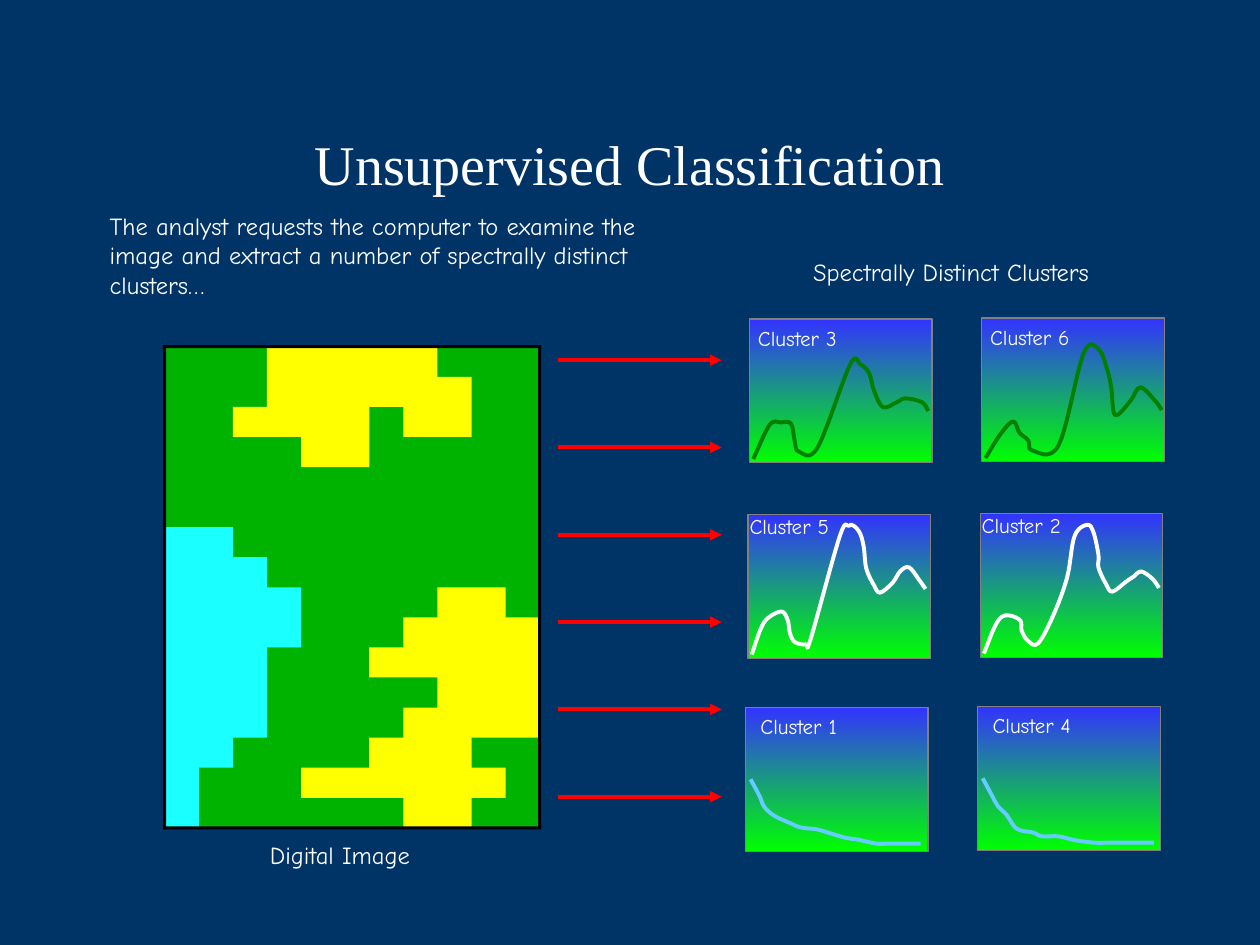
from dataclasses import dataclass

from lxml import etree
from pptx import Presentation
from pptx.dml.color import RGBColor
from pptx.enum.shapes import MSO_CONNECTOR as CONN, MSO_SHAPE as SHAPE
from pptx.enum.text import MSO_ANCHOR as ANCHOR, PP_ALIGN as ALIGN
from pptx.oxml.ns import qn
from pptx.util import Cm, Pt


@dataclass(frozen=True)
class Theme:
    back: str = "003366"
    text: str = "FFFFFF"
    frame: str = "000000"
    forest: str = "00B300"
    water: str = "1AFFFF"
    crop: str = "FFFF00"
    arrow: str = "FF0000"
    panel_top: str = "3333FF"
    panel_bottom: str = "00FF00"
    panel_edge: str = "808080"
    green_curve: str = "008000"
    white_curve: str = "FFFFFF"
    blue_curve: str = "66CCFF"
    title_font: str = "Times New Roman"
    body_font: str = "Comic Neue"
    title_size: int = 32
    body_size: int = 14
    label_size: int = 12
    stroke: float = 2.25
    thin: float = 0.75


THEME = Theme()

# Land cover regions as corners (column, row) on the pixel grid
COLS, ROWS = 11, 16
WATER = [(0, 6), (2, 6), (2, 7), (3, 7), (3, 8), (4, 8), (4, 10), (3, 10),
         (3, 13), (2, 13), (2, 14), (1, 14), (1, 16), (0, 16)]
NORTH_CROP = [(3, 0), (3, 2), (2, 2), (2, 3), (4, 3), (4, 4), (6, 4), (6, 2),
              (7, 2), (7, 3), (9, 3), (9, 1), (8, 1), (8, 0)]
SOUTH_CROP = [(11, 9), (10, 9), (10, 8), (8, 8), (8, 9), (7, 9), (7, 10),
              (6, 10), (6, 11), (8, 11), (8, 12), (7, 12), (7, 13), (6, 13),
              (6, 14), (4, 14), (4, 15), (7, 15), (7, 16), (9, 16), (9, 15),
              (10, 15), (10, 14), (9, 14), (9, 13), (11, 13)]

# Spectral curves as points on a grid of 145 by 114 steps per panel
PANEL_W, PANEL_H = 3.68, 2.9
STEPS_X, STEPS_Y = 145, 114
COLUMN_STEP = (4.68, -0.02)
CURVES = {
    3: [(3, 111), (16, 84), (25, 82), (33, 83), (36, 97), (39, 105),
        (54, 102), (80, 36), (88, 36), (95, 43), (99, 57), (106, 70),
        (117, 66), (124, 63), (137, 66), (142, 73)],
    6: [(3, 111), (15, 92), (25, 82), (30, 91), (37, 97), (40, 105),
        (61, 101), (81, 28), (93, 25), (100, 42), (103, 56), (106, 77),
        (118, 66), (126, 55), (138, 66), (143, 73)],
    5: [(3, 111), (10, 91), (16, 82), (27, 77), (32, 85), (33, 93),
        (37, 101), (46, 103), (50, 98), (73, 17), (80, 9), (84, 9),
        (89, 15), (92, 26), (94, 43), (100, 56), (105, 62), (115, 54),
        (121, 45), (128, 42), (136, 52), (141, 59)],
    2: [(3, 111), (11, 91), (17, 82), (24, 81), (32, 85), (33, 93),
        (38, 101), (46, 103), (58, 81), (69, 51), (75, 18), (85, 9),
        (90, 15), (94, 33), (94, 43), (100, 56), (105, 62), (116, 54),
        (122, 50), (128, 46), (137, 52), (142, 59)],
    1: [(4, 57), (11, 70), (15, 79), (23, 86), (36, 92), (43, 95), (50, 96),
        (58, 97), (78, 103), (90, 105), (104, 108), (113, 108), (124, 108),
        (131, 108), (139, 108)],
    4: [(4, 57), (11, 70), (16, 79), (23, 86), (31, 97), (44, 100),
        (51, 103), (64, 103), (77, 106), (92, 108), (104, 108), (114, 108),
        (124, 108), (131, 108), (140, 108)],
}
# Panel rows: left, top, label offset (x, y), label width, colour, clusters
PANEL_ROWS = [
    (15.11, 6.43, (-0.08, 0), 2.82, THEME.green_curve, (3, 6)),
    (15.08, 10.37, (-0.22, -0.15), 3.12, THEME.white_curve, (5, 2)),
    (15.03, 14.26, (0.05, 0), 2.82, THEME.blue_curve, (1, 4)),
]


def rgb(value):
    return RGBColor.from_string(value)


def bend(sp):
    """Turn the straight segments of a freeform into a Catmull-Rom spline."""
    segments = list(sp._element.iter(qn("a:lnTo")))
    pts = [(int(pt.get("x")), int(pt.get("y"))) for pt in sp._element.iter(qn("a:pt"))]
    (ax, ay), (bx, by), (yx, yy), (zx, zy) = *pts[:2], *pts[-2:]
    pts = [(2 * ax - bx, 2 * ay - by), *pts, (2 * zx - yx, 2 * zy - yy)]
    for seg, p0, p1, p2, p3 in zip(segments, pts, pts[1:], pts[2:], pts[3:]):
        seg.tag = qn("a:cubicBezTo")
        first = [b + (c - a) / 6 for a, b, c in zip(p0, p1, p2)]
        second = [c - (d - b) / 6 for b, c, d in zip(p1, p2, p3)]
        for i, (x, y) in enumerate((first, second)):
            pt = etree.Element(qn("a:pt"), x=str(round(x)), y=str(round(y)))
            seg.insert(i, pt)


class Deck:
    def __init__(self, theme):
        self.theme = theme
        self.prs = Presentation()
        self.prs.slide_width, self.prs.slide_height = Cm(25.4), Cm(19.05)
        self.s = self.prs.slides.add_slide(self.prs.slide_layouts[6])
        fill = self.s.background.fill
        fill.solid()
        fill.fore_color.rgb = rgb(theme.back)

    def style(self, sp, fill=None, line=None, width=None):
        sp.shadow.inherit = False
        if fill:
            sp.fill.solid()
            sp.fill.fore_color.rgb = rgb(fill)
        else:
            sp.fill.background()
        if line:
            sp.line.color.rgb = rgb(line)
            sp.line.width = Pt(width)
        else:
            sp.line.fill.background()
        return sp

    def rect(self, x, y, w, h, **look):
        sp = self.s.shapes.add_shape(SHAPE.RECTANGLE, Cm(x), Cm(y), Cm(w), Cm(h))
        return self.style(sp, **look)

    def outline(self, x, y, step_x, step_y, points, close=True, **look):
        spots = [(Cm(x + px * step_x), Cm(y + py * step_y)) for px, py in points]
        fb = self.s.shapes.build_freeform(*spots[0])
        fb.add_line_segments(spots[1:], close=close)
        return self.style(fb.convert_to_shape(), **look)

    def text(self, x, y, w, h, words, size, font=None, align=ALIGN.LEFT,
             anchor=ANCHOR.TOP):
        tf = self.s.shapes.add_textbox(Cm(x), Cm(y), Cm(w), Cm(h)).text_frame
        tf.word_wrap = True
        tf.vertical_anchor = anchor
        p = tf.paragraphs[0]
        p.alignment = align
        r = p.add_run()
        r.text = words
        r.font.size = Pt(size)
        r.font.name = font or self.theme.body_font
        r.font.color.rgb = rgb(self.theme.text)

    def arrow(self, x1, x2, y):
        cn = self.s.shapes.add_connector(CONN.STRAIGHT, Cm(x1), Cm(y), Cm(x2), Cm(y))
        cn.line.color.rgb = rgb(self.theme.arrow)
        cn.line.width = Pt(self.theme.stroke)
        etree.SubElement(cn.line._get_or_add_ln(), qn("a:tailEnd"), type="triangle")
        etree.SubElement(cn._element.spPr, qn("a:effectLst"))

    def panel(self, x, y, cluster, colour, offset, label_w):
        t = self.theme
        sp = self.rect(x, y, PANEL_W, PANEL_H, line=t.panel_edge, width=t.thin)
        sp.fill.gradient()
        sp.fill.gradient_angle = 270
        for stop, value in zip(sp.fill.gradient_stops, (t.panel_top, t.panel_bottom)):
            stop.color.rgb = rgb(value)
        bend(self.outline(x, y, PANEL_W / STEPS_X, PANEL_H / STEPS_Y, CURVES[cluster],
                          close=False, line=colour, width=t.stroke))
        self.text(x + offset[0], y + offset[1], label_w, 0.76,
                  f"Cluster {cluster}", t.label_size)


def main():
    t = THEME
    deck = Deck(t)

    # Title
    deck.text(1.9, 1.7, 21.6, 3.18, "Unsupervised Classification", t.title_size,
              t.title_font, ALIGN.CENTER, ANCHOR.MIDDLE)

    # Classified image
    x, y, w, h = 3.32, 6.99, 7.56, 9.7
    deck.rect(x, y, w, h, fill=t.forest)
    for region, colour in ((WATER, t.water), (NORTH_CROP, t.crop), (SOUTH_CROP, t.crop)):
        deck.outline(x, y, w / COLS, h / ROWS, region, fill=colour)

    # Frame: top, right and bottom edge in one piece, then the left edge
    e = 0.03
    edges = [(0, h - e), (w - e, h - e), (w - e, e), (0, e), (0, -e),
             (w + e, -e), (w + e, h + e), (-e, h + e), (-e, h)]
    left_edge = [(e, 0), (e, h), (-e, h), (-e, -e), (0, -e)]
    for part in (edges, left_edge):
        deck.outline(x, y, 1, 1, part, fill=t.frame)

    # Captions
    deck.text(4.76, 16.8, 4.19, 0.86, "Digital Image", t.body_size, align=ALIGN.CENTER)
    deck.text(1.96, 4.13, 11.53, 2.03,
              "The analyst requests the computer to examine the image and "
              "extract a number of spectrally distinct clusters…", t.body_size)
    deck.text(15.35, 5.05, 7.65, 0.86, "Spectrally Distinct Clusters",
              t.body_size, align=ALIGN.CENTER)

    # Cluster panels
    for left, top, offset, label_w, colour, clusters in PANEL_ROWS:
        for col, cluster in enumerate(clusters):
            deck.panel(left + col * COLUMN_STEP[0], top + col * COLUMN_STEP[1],
                       cluster, colour, offset, label_w)

    # Arrows from the image to the panels
    for i in range(6):
        deck.arrow(11.25, 14.55, 7.26 + 1.76 * i)

    deck.prs.save("out.pptx")


if __name__ == "__main__":
    main()
